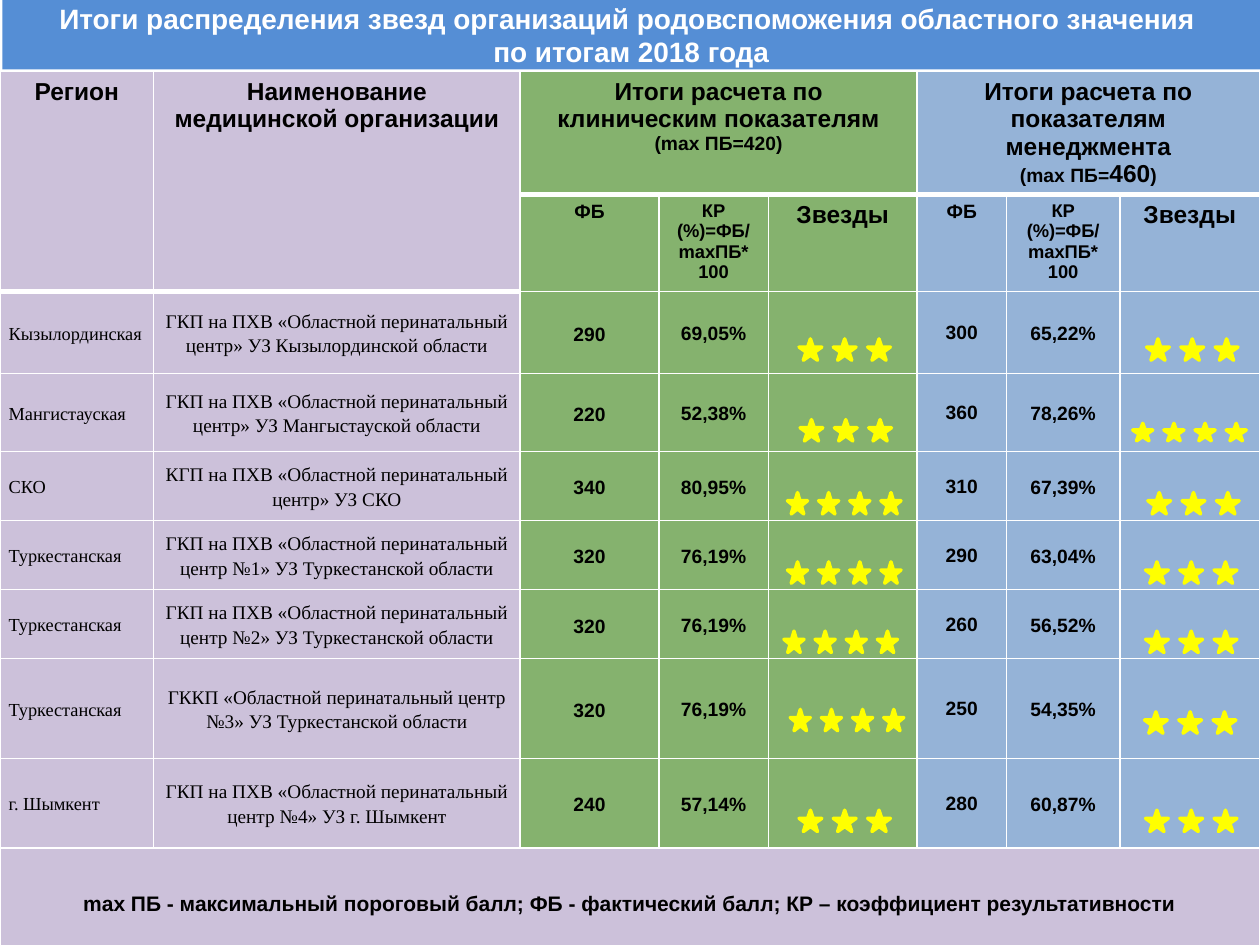
from lxml import etree
from pptx import Presentation
from pptx.dml.color import RGBColor as Rgb
from pptx.enum.shapes import MSO_SHAPE as Kind
from pptx.enum.text import MSO_ANCHOR as Anchor, PP_ALIGN as Align
from pptx.oxml.ns import qn
from pptx.util import Pt

HUES = {"title": "558ED5", "lilac": "CCC1DA", "green": "85B26E",
        "blue": "95B3D7", "star": "FFFF00", "white": "FFFFFF", "black": "000000"}
SANS, SERIF = "Arial", "Times New Roman"

COLS = [87.8, 209.5, 79.2, 62.6, 85, 51.1, 64.8, 79.9]
ROWS = [60, 55.4, 46.8, 44.6, 39.5, 39.5, 39.5, 57, 51.1, 62]
FILLS = ["lilac"] * 2 + ["green"] * 3 + ["blue"] * 3

RATIO = "КР (%)=ФБ/ mахПБ* 100"
# Row, column, last row, last column, paragraphs of (text, size) runs
HEADS = [
    (0, 0, 1, 0, [[("Регион", 14)]]),
    (0, 1, 1, 1, [[("Наименование медицинской организации", 14)]]),
    (0, 2, 0, 4, [[("Итоги расчета по клиническим показателям", 14)],
                  [("(mах ПБ=420)", 11)]]),
    (0, 5, 0, 7, [[("Итоги расчета по показателям менеджмента", 14)],
                  [("(mах ПБ=", 11), ("460", 14), (")", 11)]]),
]
for left in (2, 5):
    for step, (text, size) in enumerate([("ФБ", 11), (RATIO, 10.5), ("Звезды", 14)]):
        HEADS.append((1, left + step, 1, left + step, [[(text, size)]]))

# Region, clinic, then for each side: score, ratio, (stars, left, top)
DATA = [
    ("Кызылординская", "ГКП на ПХВ «Областной перинатальный центр» УЗ Кызылординской области",
     "290", "69,05%", (3, 456.6, 193.7), "300", "65,22%", (3, 655.2, 193.7)),
    ("Мангистауская", "ГКП на ПХВ «Областной перинатальный центр» УЗ Мангыстауской области",
     "220", "52,38%", (3, 457.2, 239.8), "360", "78,26%", (4, 647.3, 241.9)),
    ("СКО", "КГП на ПХВ «Областной перинатальный центр» УЗ СКО",
     "340", "80,95%", (4, 450, 281.5), "310", "67,39%", (3, 655.9, 281.5)),
    ("Туркестанская", "ГКП на ПХВ «Областной перинатальный центр №1» УЗ Туркестанской области",
     "320", "76,19%", (4, 450, 321.1), "290", "63,04%", (3, 654.6, 321.1)),
    ("Туркестанская", "ГКП на ПХВ «Областной перинатальный центр №2» УЗ Туркестанской области",
     "320", "76,19%", (4, 448, 360.7), "260", "56,52%", (3, 654.6, 360.7)),
    ("Туркестанская", "ГККП «Областной перинатальный центр №3» УЗ Туркестанской области",
     "320", "76,19%", (4, 451.6, 405.4), "250", "54,35%", (3, 654, 406.8)),
    ("г. Шымкент", "ГКП на ПХВ «Областной перинатальный центр №4» УЗ г. Шымкент",
     "240", "57,14%", (3, 456.6, 463), "280", "60,87%", (3, 654.6, 463)),
]
NOTE = ("mах ПБ - максимальный пороговый балл; ФБ - фактический балл; "
        "КР – коэффициент результативности")


class Deck:
    def __init__(self):
        self.prs = Presentation()
        self.prs.slide_width, self.prs.slide_height = Pt(720), Pt(540)
        self.slide = self.prs.slides.add_slide(self.prs.slide_layouts[6])

    def hue(self, name):
        return Rgb.from_string(HUES[name])

    def paint(self, item, name):
        item.fill.solid()
        item.fill.fore_color.rgb = self.hue(name)

    def font(self, run, size, face=SANS, bold=True, hue="black"):
        run.font.size, run.font.name, run.font.bold = Pt(size), face, bold
        run.font.color.rgb = self.hue(hue)

    def title(self, text, box, size):
        bar = self.slide.shapes.add_shape(Kind.RECTANGLE, *map(Pt, box))
        bar.shadow.inherit = False
        self.paint(bar, "title")
        bar.line.fill.background()
        frame = bar.text_frame
        frame.text = text
        frame.word_wrap = True
        frame.vertical_anchor = Anchor.MIDDLE
        para = frame.paragraphs[0]
        para.alignment = Align.CENTER
        for run in para.runs:
            self.font(run, size, hue="white")

    def grid(self, left, top):
        frame = self.slide.shapes.add_table(len(ROWS), len(COLS), Pt(left), Pt(top),
                                            Pt(sum(COLS)), Pt(sum(ROWS)))
        self.table = table = frame.table
        table.first_row = table.horz_banding = False
        for col, width in zip(table.columns, COLS):
            col.width = Pt(width)
        for row, height in zip(table.rows, ROWS):
            row.height = Pt(height)
        for r in range(len(ROWS)):
            for c, fill in enumerate(FILLS):
                cell = table.cell(r, c)
                self.edge(cell, 3 if r == 0 else 1)
                self.paint(cell, "lilac" if r == len(ROWS) - 1 else fill)

    def edge(self, cell, base):
        props = cell._tc.get_or_add_tcPr()
        for side in "LRTB":
            width = base if side == "B" else 1
            line = etree.SubElement(props, qn("a:ln" + side), w=str(Pt(width)))
            solid = etree.SubElement(line, qn("a:solidFill"))
            etree.SubElement(solid, qn("a:srgbClr"), val=HUES["white"])

    def head(self, row, col, last, end, paras):
        cell = self.table.cell(row, col)
        if (row, col) != (last, end):
            cell.merge(self.table.cell(last, end))
        frame = cell.text_frame
        for i, parts in enumerate(paras):
            para = frame.add_paragraph() if i else frame.paragraphs[0]
            para.alignment = Align.CENTER
            for text, size in parts:
                run = para.add_run()
                run.text = text
                self.font(run, size)

    def cell(self, row, col, text, size=11, face=SANS, align=Align.CENTER,
             gap=1.15, pad=(5, 0)):
        cell = self.table.cell(row, col)
        cell.vertical_anchor = Anchor.MIDDLE
        cell.margin_left = cell.margin_right = Pt(pad[0])
        cell.margin_top, cell.margin_bottom = Pt(pad[1]), 0
        cell.text_frame.text = text
        para = cell.text_frame.paragraphs[0]
        para.alignment = align
        if gap:
            para.line_spacing = gap
        self.font(para.runs[0], size, face, face == SANS)

    def stars(self, count, left, top, high=12.2):
        wide, step = (13, 19.6) if count == 3 else (11.5, 17.8)
        group = self.slide.shapes.add_group_shape()
        for i in range(count):
            star = group.shapes.add_shape(Kind.STAR_5_POINT, Pt(left + i * step), Pt(top),
                                          Pt(wide), Pt(high))
            star.shadow.inherit = False
            self.paint(star, "star")
            star.line.color.rgb = self.hue("star")
            star.line.width = Pt(2)


def main():
    deck = Deck()

    # Title bar
    deck.title("Итоги распределения звезд организаций родовспоможения областного значения \v"
               "по итогам 2018 года", (1.4, 0, 718.6, 39.6), 16)

    # Table with its headings
    deck.grid(0, 41)
    for item in HEADS:
        deck.head(*item)

    # Regions, scores and ratios
    for r, (region, clinic, *marks) in enumerate(DATA, 2):
        deck.cell(r, 0, region, 10.5, SERIF, Align.LEFT)
        deck.cell(r, 1, clinic, face=SERIF)
        for col, (score, ratio) in ((2, marks[:2]), (5, marks[3:5])):
            deck.cell(r, col, score, gap=1.15 if col == 2 else None, pad=(0.7, 0.7))
            deck.cell(r, col + 1, ratio)

    # Footnote row
    last = len(ROWS) - 1
    deck.table.cell(last, 0).merge(deck.table.cell(last, len(COLS) - 1))
    deck.cell(last, 0, NOTE, 12)

    # Star ratings
    for item in DATA:
        for col in (4, 7):
            count, left, top = item[col]
            deck.stars(count, left, top, 10 if (col, count) == (7, 4) else 12.2)

    deck.prs.save("out.pptx")


if __name__ == "__main__":
    main()
